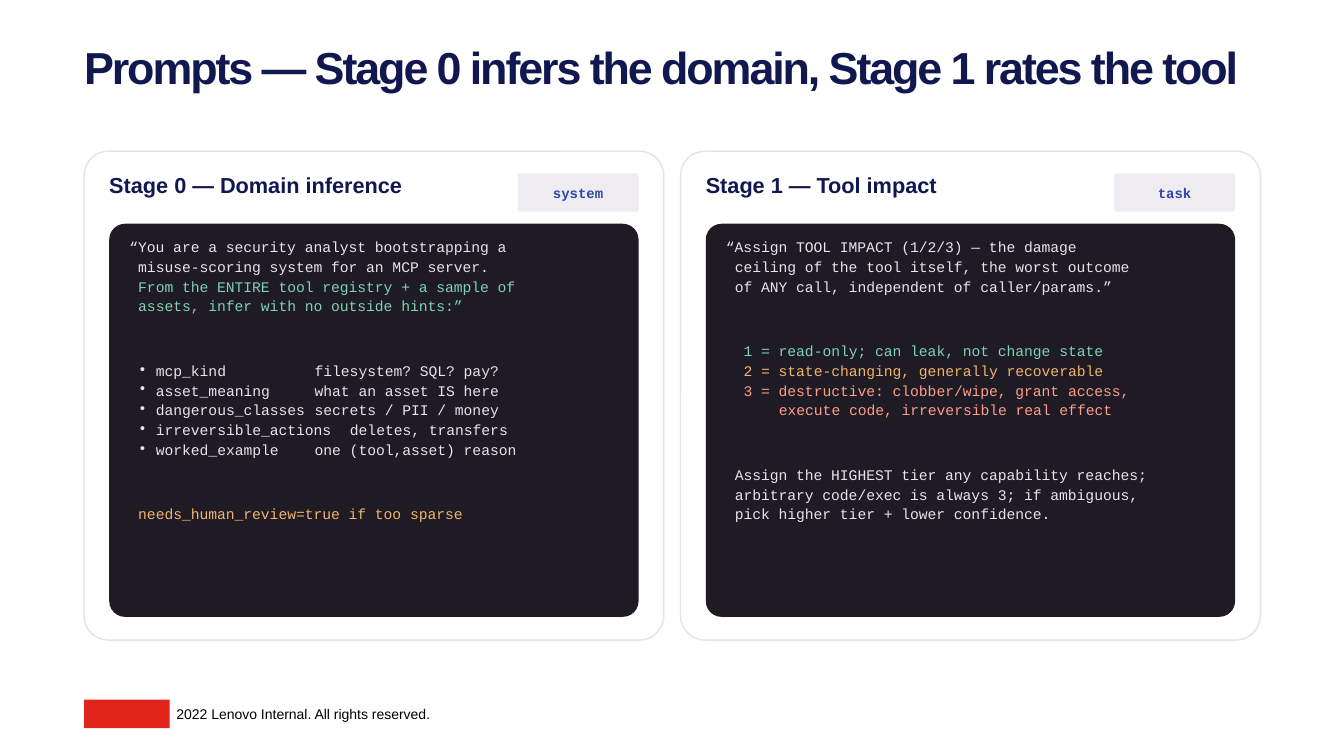
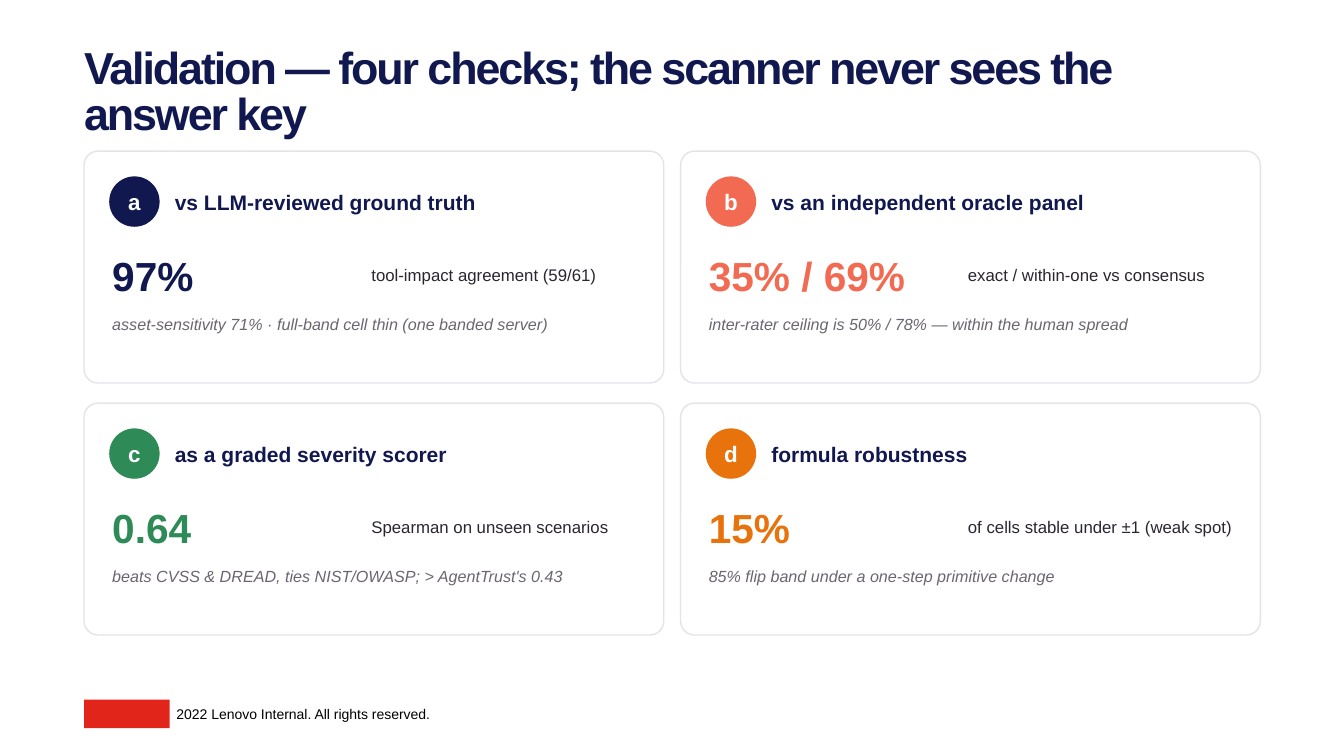
from lxml import etree
from pptx import Presentation
from pptx.dml.color import RGBColor
from pptx.enum.shapes import MSO_SHAPE
from pptx.enum.text import MSO_ANCHOR, PP_ALIGN
from pptx.oxml.ns import qn
from pptx.util import Inches, Pt

COLORS = {
    "navy": "11184F", "white": "FFFFFF", "black": "000000", "border": "E6E2EA",
    "badge": "EFECF1", "blue": "3046AD", "panel": "1E1B24", "plain": "E8E4EC",
    "mint": "7FD1B9", "amber": "F2B36A", "salmon": "FF9C8A", "red": "E1251B",
    "coral": "F26A52", "green": "2E8B57", "orange": "E8720C",
    "body": "2B2530", "muted": "6B6570",
}
SANS, MONO = "Arial", "Courier New"

# The 13.33 x 7.5 inch slide is a grid of 160 columns by 90 square rows.
UNIT = Inches(7.5) / 90
LEFT, TOP, CARD_WIDTH, CARD_STEP, ROW_STEP = 10, 18, 69, 71, 30
PROMPT_SIZE = 10.5
CHAR_WIDTH = Pt(PROMPT_SIZE * 0.6)

# Each prompt line: text, colour, indent in characters, and optional extras.
PROMPTS = [
    ("Stage 0 — Domain inference", "system", [
        ("“You are a security analyst bootstrapping a", "plain", 0, {}),
        ("misuse-scoring system for an MCP server.", "plain", 1, {}),
        ("From the ENTIRE tool registry + a sample of", "mint", 1, {}),
        ("assets, infer with no outside hints:”", "mint", 1, {}),
        ("mcp_kind\tfilesystem? SQL? pay?", "plain", 3, {"tab": 21, "gap": 32}),
        ("asset_meaning\twhat an asset IS here", "plain", 3, {"tab": 21}),
        ("dangerous_classes\tsecrets / PII / money", "plain", 3, {"tab": 21}),
        ("irreversible_actions\tdeletes, transfers", "plain", 3, {"tab": 25}),
        ("worked_example\tone (tool,asset) reason", "plain", 3, {"tab": 21}),
        ("needs_human_review=true if too sparse", "amber", 1, {"gap": 32}),
    ]),
    ("Stage 1 — Tool impact", "task", [
        ("“Assign TOOL IMPACT (1/2/3) — the damage", "plain", 0, {}),
        ("ceiling of the tool itself, the worst outcome", "plain", 1, {}),
        ("of ANY call, independent of caller/params.”", "plain", 1, {}),
        ("1 = read-only; can leak, not change state", "mint", 2, {"gap": 32}),
        ("2 = state-changing, generally recoverable", "amber", 2, {}),
        ("3 = destructive: clobber/wipe, grant access,", "salmon", 2, {}),
        ("execute code, irreversible real effect", "salmon", 6, {}),
        ("Assign the HIGHEST tier any capability reaches;", "plain", 1, {"gap": 32}),
        ("arbitrary code/exec is always 3; if ambiguous,", "plain", 1, {}),
        ("pick higher tier + lower confidence.", "plain", 1, {}),
    ]),
]

CHECKS = [
    ("a", "navy", "vs LLM-reviewed ground truth", "97%",
     "tool-impact agreement (59/61)",
     "asset-sensitivity 71% · full-band cell thin (one banded server)"),
    ("b", "coral", "vs an independent oracle panel", "35% / 69%",
     "exact / within-one vs consensus",
     "inter-rater ceiling is 50% / 78% — within the human spread"),
    ("c", "green", "as a graded severity scorer", "0.64",
     "Spearman on unseen scenarios",
     "beats CVSS & DREAD, ties NIST/OWASP; > AgentTrust's 0.43"),
    ("d", "orange", "formula robustness", "15%",
     "of cells stable under ±1 (weak spot)",
     "85% flip band under a one-step primitive change"),
]


def rgb(color):
    return RGBColor.from_string(COLORS[color])


def write(paragraph, text, *, size, color="navy", font=SANS, bold=False,
          italic=False, align=PP_ALIGN.LEFT, leading=None, tracking=None):
    run = paragraph.add_run()
    run.text = text
    run.font.size = Pt(size)
    run.font.name = font
    run.font.bold = bold
    run.font.italic = italic
    run.font.color.rgb = rgb(color)
    paragraph.alignment = align
    if leading:
        paragraph.line_spacing = leading
    if tracking:
        run.font._element.set("spc", str(round(tracking * 100)))


def indent(paragraph, chars, tab=None):
    """Indent by monospaced characters; a line with a tab column is a bullet."""
    properties = paragraph._p.get_or_add_pPr()
    properties.set("marL", str(round(chars * CHAR_WIDTH)))
    properties.set("indent", str(round(-2 * CHAR_WIDTH) if tab else 0))
    if tab:
        etree.SubElement(properties, qn("a:buFont"), typeface=MONO)
        etree.SubElement(properties, qn("a:buChar"), char="•")
        stops = etree.SubElement(properties, qn("a:tabLst"))
        etree.SubElement(stops, qn("a:tab"), pos=str(round(tab * CHAR_WIDTH)), algn="l")


class Deck:
    def __init__(self):
        self.presentation = Presentation()
        self.presentation.slide_width = Inches(13.33)
        self.presentation.slide_height = Inches(7.5)
        self.slide = None

    @staticmethod
    def box(*cells):
        return [round(cell * UNIT) for cell in cells]

    @staticmethod
    def frame(shape, anchor):
        frame = shape.text_frame
        frame.word_wrap = True
        frame.vertical_anchor = anchor
        frame.margin_left = frame.margin_right = 0
        frame.margin_top = frame.margin_bottom = 0
        return frame

    def start(self, title):
        """Add a slide with its title and footer."""
        self.slide = self.presentation.slides.add_slide(
            self.presentation.slide_layouts[5])
        heading = self.slide.shapes.title
        heading.left, heading.top, heading.width, heading.height = self.box(
            LEFT, 5.76, 140, 5.5)
        frame = self.frame(heading, MSO_ANCHOR.TOP)
        write(frame.paragraphs[0], title, size=32, bold=True,
              leading=0.85, tracking=-1.5)
        self.shape(MSO_SHAPE.RECTANGLE, LEFT, 83.3, 10.2, 3.4, "red")
        self.text("2022 Lenovo Internal. All rights reserved.",
                  21, 84, 54, 2, size=10, color="black")

    def shape(self, kind, x, y, width, height, fill, radius=None, border=None):
        shape = self.slide.shapes.add_shape(kind, *self.box(x, y, width, height))
        shape.shadow.inherit = False
        shape.fill.solid()
        shape.fill.fore_color.rgb = rgb(fill)
        if border:
            shape.line.color.rgb = rgb(border)
            shape.line.width = Pt(1)
        else:
            shape.line.fill.background()
        if radius:
            shape.adjustments[0] = radius
        return shape

    def rounded(self, *place, **style):
        return self.shape(MSO_SHAPE.ROUNDED_RECTANGLE, *place, **style)

    def label(self, shape, text, **style):
        frame = self.frame(shape, MSO_ANCHOR.MIDDLE)
        write(frame.paragraphs[0], text, bold=True, align=PP_ALIGN.CENTER, **style)

    def text_frame(self, x, y, width, height, anchor=MSO_ANCHOR.TOP):
        area = self.slide.shapes.add_textbox(*self.box(x, y, width, height))
        return self.frame(area, anchor)

    def text(self, text, *place, anchor=MSO_ANCHOR.TOP, **style):
        write(self.text_frame(*place, anchor=anchor).paragraphs[0], text, **style)

    def prompt_card(self, column, heading, role, lines):
        x, y = LEFT + column * CARD_STEP, TOP
        self.rounded(x, y, CARD_WIDTH, 58.2, fill="white", radius=0.05, border="border")
        self.text(heading, x + 3, y + 2.4, 49.8, 4.8, size=15.5, bold=True)
        badge = self.rounded(x + 51.6, y + 2.64, 14.4, 4.56, fill="badge", radius=0.06)
        self.label(badge, role, size=10, color="blue", font=MONO)
        self.rounded(x + 3, y + 8.64, 63, 46.8, fill="panel", radius=0.04)
        frame = self.text_frame(x + 5.4, y + 10.08, 58.2, 43.92)
        for number, (line, color, chars, extras) in enumerate(lines):
            paragraph = frame.add_paragraph() if number else frame.paragraphs[0]
            indent(paragraph, chars, extras.get("tab"))
            write(paragraph, line, size=PROMPT_SIZE, color=color, font=MONO, leading=1.12)
            if "gap" in extras:
                paragraph.space_before = Pt(extras["gap"])

    def check_card(self, column, row, letter, color, heading, value, caption, note):
        x, y = LEFT + column * CARD_STEP, TOP + row * ROW_STEP
        middle = MSO_ANCHOR.MIDDLE
        self.rounded(x, y, CARD_WIDTH, 27.6, fill="white", radius=0.06, border="border")
        marker = self.shape(MSO_SHAPE.OVAL, x + 3, y + 3, 6, 6, color)
        self.label(marker, letter, size=16, color="white")
        self.text(heading, x + 10.8, y + 3.36, 55.8, 5.4, anchor=middle,
                  size=15, bold=True)
        self.text(value, x + 3.36, y + 10.56, 30, 8.4, anchor=middle,
                  size=29, color=color, bold=True)
        self.text(caption, x + 34.2, y + 10.56, 31.8, 8.4, anchor=middle,
                  size=12, color="body")
        self.text(note, x + 3.36, y + 19.44, 62.4, 6.6,
                  size=11.5, color="muted", italic=True)


def main():
    deck = Deck()
    deck.start("Prompts — Stage 0 infers the domain, Stage 1 rates the tool")
    for column, prompt in enumerate(PROMPTS):
        deck.prompt_card(column, *prompt)
    deck.start("Validation — four checks; the scanner never sees the answer key")
    for number, check in enumerate(CHECKS):
        row, column = divmod(number, 2)
        deck.check_card(column, row, *check)
    deck.presentation.save("out.pptx")


if __name__ == "__main__":
    main()
